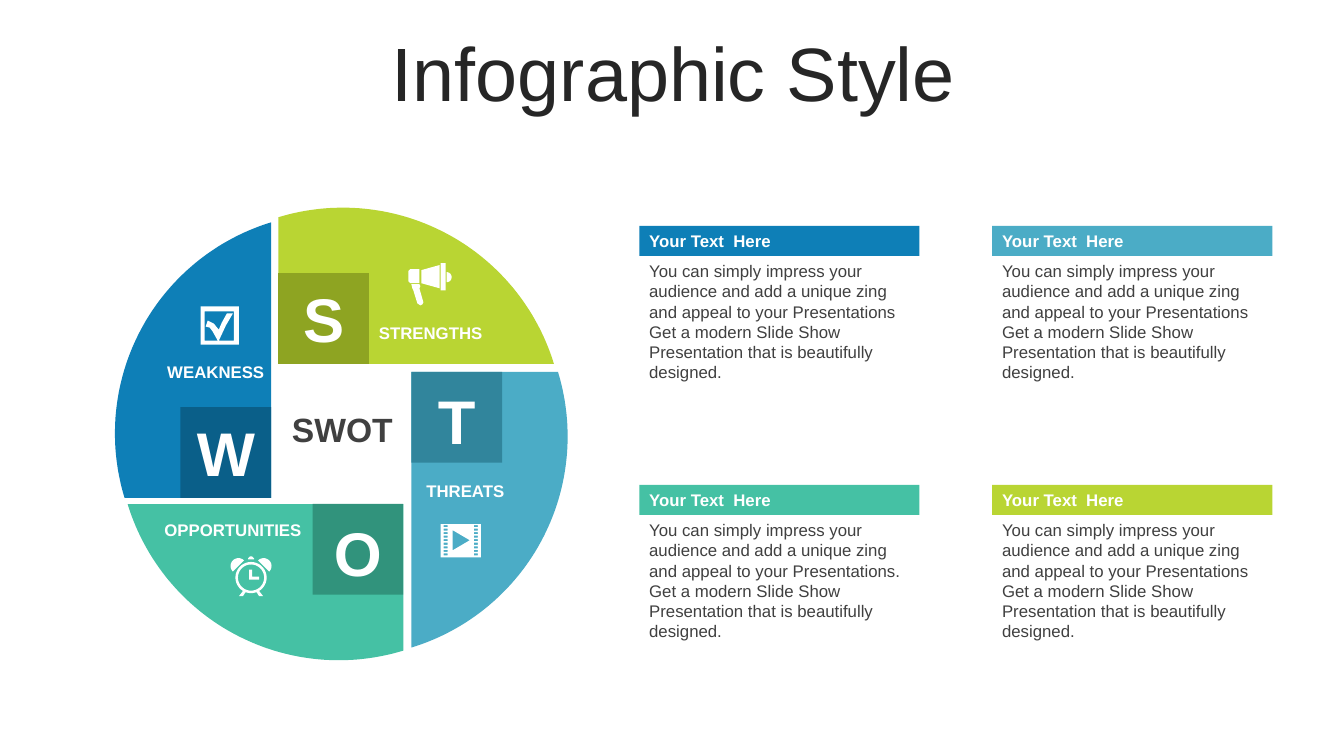
import math
from dataclasses import dataclass

import pptx
import pptx.dml.color
import pptx.enum.shapes
import pptx.enum.text
import pptx.util

ALIGN = pptx.enum.text.PP_ALIGN
ANCHOR = pptx.enum.text.MSO_ANCHOR
RECTANGLE = pptx.enum.shapes.MSO_SHAPE.RECTANGLE


@dataclass(frozen=True)
class Theme:
    font: str = "Arial"
    white: str = "FFFFFF"
    heading: str = "262626"
    text: str = "404040"
    blue: str = "0E7FB7"
    blue_dark: str = "0A5F89"
    green: str = "45C1A4"
    green_dark: str = "31937C"
    lime: str = "B9D533"
    lime_dark: str = "8EA422"
    teal: str = "4BACC6"
    teal_dark: str = "31859C"
    title_size: int = 54
    letter_size: int = 44
    centre_size: int = 24
    body_size: int = 12


THEME = Theme()

# Wheel measures, in grid cells
RADIUS = 21.9
CORNER = 6.4  # distance of a sector's corner from its own centre, both ways
TILE = 9
LETTER_WIDTH, LETTER_HEIGHT = 8.1, 8.4

# Letter, quarter turns, corner, letter drop, colours, label, label box, alignment
SECTORS = [
    ("O", 0, (40, 50), 0.3, THEME.green, THEME.green_dark,
     "OPPORTUNITIES", (13.9, 51.1, 17, 3), ALIGN.RIGHT),
    ("T", 3, (40.8, 36.9), 0.3, THEME.teal, THEME.teal_dark,
     "THREATS", (41.3, 47.2, 15.5, 3), ALIGN.LEFT),
    ("S", 2, (27.6, 36.1), 0, THEME.lime, THEME.lime_dark,
     "STRENGTHS", (36.6, 31.5, 17.6, 3), ALIGN.LEFT),
    ("W", 1, (26.9, 49.4), 0, THEME.blue, THEME.blue_dark,
     "WEAKNESS", (10.9, 35.4, 16.3, 3), ALIGN.RIGHT),
]

# Colour and the mark after "Presentations", row by row
CARDS = [(THEME.blue, ""), (THEME.teal, ""), (THEME.green, "."), (THEME.lime, "")]


def cells(count):
    """Length of a number of grid cells; the slide has 133.3 columns and 75 rows."""
    return pptx.util.Inches(round(count / 10, 4))


def colour(code):
    return pptx.dml.color.RGBColor.from_string(code)


def paint(shape, code):
    shape.shadow.inherit = False
    shape.fill.solid()
    shape.fill.fore_color.rgb = colour(code)
    shape.line.fill.background()


def write(shape, text, size, code, bold=False, align=ALIGN.LEFT):
    shape.text_frame.word_wrap = True
    para = shape.text_frame.paragraphs[0]
    para.alignment = align
    span = para.add_run()
    span.text = text
    span.font.name = THEME.font
    span.font.size = pptx.util.Pt(size)
    span.font.bold = bold
    span.font.color.rgb = colour(code)
    return para


def add_text(shapes, place, text, size, code, bold=False, align=ALIGN.LEFT):
    box = shapes.add_textbox(*map(cells, place))
    write(box, text, size, code, bold, align)


def add_block(shapes, place, code):
    block = shapes.add_shape(RECTANGLE, *map(cells, place))
    paint(block, code)
    return block


def add_outline(shapes, contours, code):
    """One filled freeform; inner contours cut holes."""
    outlines = [[(cells(x), cells(y)) for x, y in points] for points in contours]
    builder = shapes.build_freeform(*outlines[0][0])
    for number, points in enumerate(outlines):
        if number:
            builder.move_to(*points[0])
        builder.add_line_segments(points[1:], close=True)
    paint(builder.convert_to_shape(), code)


def arc(x, y, radius, start, end, steps=36):
    angles = [math.radians(start + (end - start) * i / steps) for i in range(steps + 1)]
    return [(x + radius * math.cos(a), y + radius * math.sin(a)) for a in angles]


def rectangle(left, top, width, height):
    right, bottom = left + width, top + height
    return [(left, top), (right, top), (right, bottom), (left, bottom)]


def turn(x, y, quarters):
    for _ in range(quarters):
        x, y = -y, x
    return x, y


def add_title(page):
    title = page.shapes.title
    title.left, title.top, title.width, title.height = map(cells, (3.5, 3.7, 126.6, 7.9))
    title.text_frame.auto_size = pptx.enum.text.MSO_AUTO_SIZE.NONE
    title.text_frame.vertical_anchor = ANCHOR.MIDDLE
    para = write(title, "Infographic Style", THEME.title_size, THEME.heading,
                 align=ALIGN.CENTER)
    para.line_spacing = 0.9


def add_sector(shapes, letter, quarters, corner, drop, fill, dark, label, place, align):
    x, y = corner
    dx, dy = turn(CORNER, CORNER, quarters)
    tilt = math.degrees(math.asin(CORNER / RADIUS))
    start = 90 - tilt + 90 * quarters
    rim = arc(x - dx, y - dy, RADIUS, start, start + 90, 72)
    add_outline(shapes, [[corner] + rim], fill)

    # Dark tile in the corner, with its letter
    dx, dy = turn(-TILE / 2, TILE / 2, quarters)
    x, y = x + dx, y + dy
    add_block(shapes, (x - TILE / 2, y - TILE / 2, TILE, TILE), dark)
    add_text(shapes, (x - LETTER_WIDTH / 2, y - LETTER_HEIGHT / 2 + drop,
                      LETTER_WIDTH, LETTER_HEIGHT),
             letter, THEME.letter_size, THEME.white, True, ALIGN.CENTER)
    add_text(shapes, place, label, THEME.body_size, THEME.white, True, align)


def clock_icon():
    x, y = 24.9, 57.3
    leg = [(0.8, 1.33), (1.2, 1.85), (0.8, 1.85), (0.55, 1.45)]
    bell = arc(1.25, -1.15, 0.78, -135, 45)
    hands = [(24.7, 56.5), (25, 56.5), (25, 57.2), (25.7, 57.2), (25.7, 57.5), (24.7, 57.5)]
    button = [(24.6, 55.5), (24.6, 55.4), (24.8, 55.2), (25, 55.2), (25.2, 55.4), (25.2, 55.5)]
    pairs = [[(x + side * dx, y + dy) for dx, dy in part]
             for part in (leg, bell) for side in (-1, 1)]
    return [arc(x, y, 1.55, 0, 360), arc(x, y, 1.3, 0, 360), hands, button] + pairs


def check_icon():
    tick = [(20.4, 32.4), (20.6, 31.8), (21.2, 32.1), (21.7, 32.7), (22, 32), (22.5, 31.1),
            (23.1, 31.1), (22.4, 32.3), (21.7, 33.8), (23.2, 33.8), (23.2, 30.9),
            (20.3, 30.9), (20.3, 33.8), (21.6, 33.8), (21.1, 32.9), (20.8, 32.5)]
    return [rectangle(19.9, 30.4, 3.8, 3.8), tick]


def megaphone_icon():
    handle = [(40.8, 28.2), (41.6, 28.2), (41.7, 28.4), (41.6, 28.6), (42, 30),
              (41.9, 30.2), (41.7, 30.3), (41.4, 30.1), (41, 28.8), (40.9, 28.6)]
    back = [(40.5, 26.9), (40.7, 26.7), (41.6, 26.7), (41.6, 28.1), (40.7, 28.1), (40.5, 27.9)]
    horn = [(41.8, 26.8), (43.6, 26.3), (43.6, 28.6), (41.8, 28.1)]
    return [handle, back, horn, rectangle(43.7, 26.1, 0.5, 2.7),
            arc(44.3, 27.5, 0.5, -90, 90)]


def film_icon():
    holes = [rectangle(left, 52.1 + 0.35 * row, 0.4, 0.2)
             for left in (44, 47) for row in range(9)]
    return [rectangle(43.7, 52, 4, 3.3), [(44.9, 52.6), (44.9, 54.6), (46.6, 53.6)]] + holes


def add_card(shapes, left, top, fill, mark):
    header = add_block(shapes, (left, top, 27.8, 3), fill)
    write(header, "Your Text  Here", THEME.body_size, THEME.white, True)
    add_text(shapes, (left, top + 3, 27.8, 13.1),
             "You can simply impress your audience and add a unique zing and appeal to your "
             f"Presentations{mark} Get a modern Slide Show  Presentation that is "
             "beautifully designed.", THEME.body_size, THEME.text)


def main():
    deck = pptx.Presentation()
    deck.slide_width, deck.slide_height = cells(133.3), cells(75)
    page = deck.slides.add_slide(deck.slide_layouts.get_by_name("Title Only"))
    add_title(page)

    # SWOT wheel
    wheel = page.shapes.add_group_shape().shapes
    for sector in SECTORS:
        add_sector(wheel, *sector)
    add_text(wheel, (27.5, 40.1, 12.9, 5), "SWOT", THEME.centre_size, THEME.text,
             True, ALIGN.CENTER)
    for contours in (clock_icon(), check_icon(), megaphone_icon(), film_icon()):
        add_outline(wheel, contours, THEME.white)

    # Cards, two by two
    for number, (fill, mark) in enumerate(CARDS):
        row, column = divmod(number, 2)
        card = page.shapes.add_group_shape().shapes
        add_card(card, 63.4 + 35 * column, 22.4 + 25.7 * row, fill, mark)

    deck.save("out.pptx")


if __name__ == "__main__":
    main()
